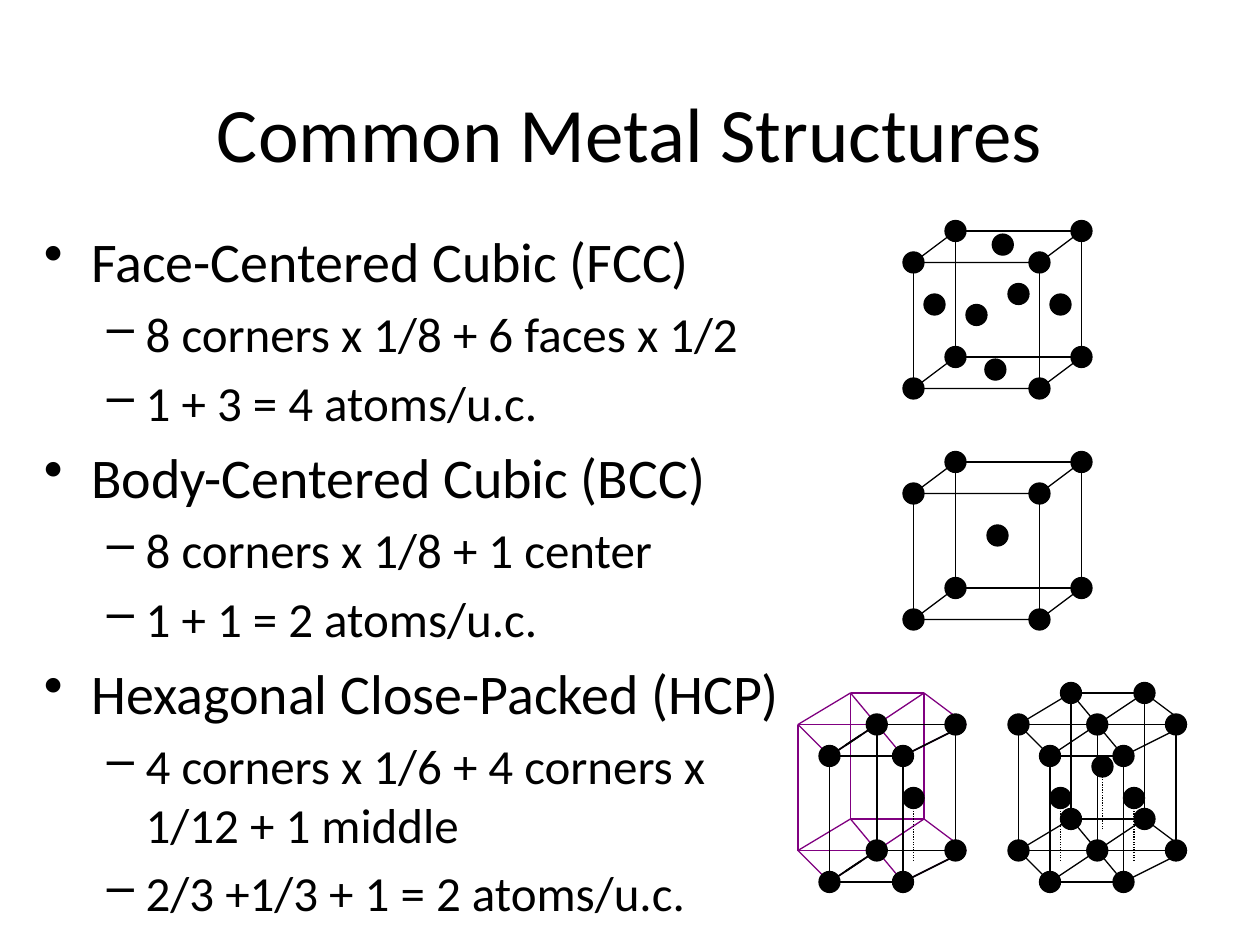
from dataclasses import dataclass

import pptx
import pptx.dml.color
import pptx.enum.dml
import pptx.enum.shapes
import pptx.enum.text
import pptx.oxml.ns
import pptx.shapes.autoshape
import pptx.shapes.shapetree
import pptx.text.text
import pptx.util
from lxml import etree

PX = 7620  # EMU per px, 120 px to the inch
BLACK = pptx.dml.color.RGBColor(0x00, 0x00, 0x00)
PURPLE = pptx.dml.color.RGBColor(0x80, 0x00, 0x80)
FONT = "Calibri"
ATOM_RADIUS = 10
CELL_HEIGHT = 120

Point = tuple[int, int]
Segment = tuple[Point, Point]
Shapes = pptx.shapes.shapetree.GroupShapes


@dataclass(frozen=True)
class Stroke:
    color: pptx.dml.color.RGBColor = BLACK
    width: float = 0.75
    dotted: bool = False


@dataclass(frozen=True)
class Level:
    bullet: str
    size: int
    margin: int
    hanging: int


@dataclass(frozen=True)
class Cube:
    origin: Point
    inner_atoms: list[Point]


@dataclass(frozen=True)
class Prism:
    origin: Point
    stroke: Stroke
    atoms: list[Point]  # atoms of one layer
    middle_atoms: list[Point]
    edge_columns: list[int]  # distance of each upright from the left


THIN = Stroke()
BOLD = Stroke(width=1)
DOTTED = Stroke(dotted=True)
FAINT = Stroke(PURPLE)

TOPIC = Level("•", 32, 45, 45)
DETAIL = Level("–", 28, 97, 37)
BODY = [
    (TOPIC, "Face-Centered Cubic (FCC)"),
    (DETAIL, "8 corners x 1/8 + 6 faces x 1/2"),
    (DETAIL, "1 + 3 = 4 atoms/u.c."),
    (TOPIC, "Body-Centered Cubic (BCC)"),
    (DETAIL, "8 corners x 1/8 + 1 center"),
    (DETAIL, "1 + 1 = 2 atoms/u.c."),
    (TOPIC, "Hexagonal Close-Packed (HCP)"),
    (DETAIL, "4 corners x 1/6 + 4 corners x 1/12 + 1 middle"),
    (DETAIL, "2/3 +1/3 + 1 = 2 atoms/u.c."),
]

CUBE_LID = [(0, 30), (40, 0), (160, 0), (120, 30)]
CUBES = [
    Cube((870, 220), [(78, 132), (85, 13), (60, 80), (100, 60), (140, 70), (20, 70)]),
    Cube((870, 440), [(80, 70)]),
]

HEXAGON = [(30, 60), (100, 60), (160, 30), (120, 0), (50, 0), (0, 30)]
DIAGONALS = [((0, 30), (160, 30)), ((30, 60), (120, 0)), ((50, 0), (100, 60))]
FRONT_EDGE, BACK_EDGE = ((30, 60), (100, 60)), ((50, 0), (120, 0))
CELL_ATOMS = [(30, 60), (100, 60), (150, 30), (75, 30)]
COLUMN_TOPS = {0: 30, 30: 60, 50: 0, 75: 30, 100: 60, 120: 0, 150: 30}
FULL_PRISM = Prism((970, 660), THIN, CELL_ATOMS + [(120, 0), (0, 30), (50, 0)],
                   [(40, 100), (80, 70), (110, 100)], list(COLUMN_TOPS))
UNIT_CELL_PRISM = Prism((760, 660), FAINT, CELL_ATOMS, [(110, 100)], [0, 50, 120])
UNIT_CELL_COLUMNS = [30, 75, 100, 150]
UNIT_CELL_EDGES = [
    ((30, 60), (60, 40)), ((45, 50), (75, 30)), FRONT_EDGE,
    ((80, 30), (150, 30)), ((100, 60), (160, 30)),
]


def shift(points: list[Point], offset: Point) -> list[Point]:
    return [(x + offset[0], y + offset[1]) for x, y in points]


def apply_stroke(line, stroke: Stroke) -> None:
    line.color.rgb = stroke.color
    line.width = pptx.util.Pt(stroke.width)
    if stroke.dotted:
        line.dash_style = pptx.enum.dml.MSO_LINE.ROUND_DOT


def draw_line(shapes: Shapes, segment: Segment, origin: Point, stroke: Stroke) -> None:
    (x1, y1), (x2, y2) = shift(list(segment), origin)
    connector = shapes.add_connector(
        pptx.enum.shapes.MSO_CONNECTOR.STRAIGHT, x1 * PX, y1 * PX, x2 * PX, y2 * PX)
    apply_stroke(connector.line, stroke)
    etree.SubElement(connector._element.spPr, pptx.oxml.ns.qn("a:effectLst"))


def draw_outline(shapes: Shapes, points: list[Point], origin: Point, stroke: Stroke) -> None:
    first, *others = shift(points, origin)
    builder = shapes.build_freeform(*first, scale=PX)
    builder.add_line_segments(others, close=True)
    finish_outline(builder.convert_to_shape(), stroke)


def finish_outline(shape: pptx.shapes.autoshape.Shape, stroke: Stroke) -> None:
    shape.shadow.inherit = False
    shape.fill.background()
    apply_stroke(shape.line, stroke)


def draw_atoms(shapes: Shapes, centers: list[Point], origin: Point) -> None:
    for x, y in shift(centers, origin):
        atom = shapes.add_shape(
            pptx.enum.shapes.MSO_SHAPE.OVAL, (x - ATOM_RADIUS) * PX, (y - ATOM_RADIUS) * PX,
            2 * ATOM_RADIUS * PX, 2 * ATOM_RADIUS * PX)
        atom.shadow.inherit = False
        atom.fill.solid()
        atom.fill.fore_color.rgb = BLACK
        apply_stroke(atom.line, THIN)


def draw_cube(shapes: Shapes, cube: Cube) -> None:
    for corner in CUBE_LID[:2]:  # front and back faces
        (x, y), = shift([corner], cube.origin)
        face = shapes.add_shape(pptx.enum.shapes.MSO_SHAPE.RECTANGLE, x * PX, y * PX,
                                CELL_HEIGHT * PX, CELL_HEIGHT * PX)
        finish_outline(face, THIN)
    base = shift(CUBE_LID, (0, CELL_HEIGHT))
    for outline in (CUBE_LID, base):
        draw_outline(shapes, outline, cube.origin, THIN)
    draw_atoms(shapes, CUBE_LID + base + cube.inner_atoms, cube.origin)


def draw_columns(shapes: Shapes, columns: list[int], origin: Point, stroke: Stroke) -> None:
    for x in columns:
        top = COLUMN_TOPS[x]
        draw_line(shapes, ((x, top), (x, top + CELL_HEIGHT)), origin, stroke)


def layer_origins(origin: Point) -> list[Point]:
    """Origins of the bottom and top layers."""
    return [(origin[0], origin[1] + CELL_HEIGHT), origin]


def draw_prism(shapes: Shapes, prism: Prism) -> None:
    for origin in layer_origins(prism.origin):
        for segment in DIAGONALS + [BACK_EDGE]:
            draw_line(shapes, segment, origin, prism.stroke)
        draw_outline(shapes, HEXAGON, origin, prism.stroke)
        draw_line(shapes, FRONT_EDGE, origin, THIN)
        draw_atoms(shapes, prism.atoms, origin)
    draw_columns(shapes, prism.edge_columns, prism.origin, prism.stroke)
    for x, y in prism.middle_atoms:
        draw_line(shapes, ((x, y + 60), (x, y)), prism.origin, DOTTED)
    draw_atoms(shapes, prism.middle_atoms, prism.origin)


def write_paragraph(paragraph: pptx.text.text._Paragraph, level: Level, text: str) -> None:
    paragraph.text = text
    properties = paragraph._p.get_or_add_pPr()
    properties.set("marL", str(level.margin * PX))
    properties.set("indent", str(-level.hanging * PX))
    bullet = etree.SubElement(properties, pptx.oxml.ns.qn("a:buChar"))
    bullet.set("char", level.bullet)
    paragraph.font.name = FONT
    paragraph.font.size = pptx.util.Pt(level.size)
    paragraph.font.color.rgb = BLACK


def main() -> None:
    presentation = pptx.Presentation()
    presentation.slide_width, presentation.slide_height = 1200 * PX, 900 * PX
    slide = presentation.slides.add_slide(presentation.slide_layouts[5])

    # Title
    title = slide.shapes.title
    title.left, title.top, title.width, title.height = 90 * PX, 50 * PX, 1020 * PX, 150 * PX
    title.text_frame.text = "Common Metal Structures"
    title.text_frame.vertical_anchor = pptx.enum.text.MSO_ANCHOR.MIDDLE
    heading = title.text_frame.paragraphs[0]
    heading.alignment = pptx.enum.text.PP_ALIGN.CENTER
    heading.font.name, heading.font.size = FONT, pptx.util.Pt(44)
    heading.font.color.rgb = BLACK

    # Atom counts
    frame = slide.shapes.add_textbox(30 * PX, 210 * PX, 750 * PX, 630 * PX).text_frame
    frame.word_wrap = True
    for index, (level, text) in enumerate(BODY):
        paragraph = frame.add_paragraph() if index else frame.paragraphs[0]
        write_paragraph(paragraph, level, text)
        if index:
            paragraph.space_before = pptx.util.Pt(level.size * 0.2)

    # Cubic cells
    for cube in CUBES:
        draw_cube(slide.shapes.add_group_shape().shapes, cube)

    # Hexagonal prism, and the same prism with its unit cell picked out
    draw_prism(slide.shapes.add_group_shape().shapes, FULL_PRISM)
    cell = slide.shapes.add_group_shape().shapes
    draw_prism(cell, UNIT_CELL_PRISM)
    draw_columns(cell, UNIT_CELL_COLUMNS, UNIT_CELL_PRISM.origin, BOLD)
    for origin in layer_origins(UNIT_CELL_PRISM.origin):
        for segment in UNIT_CELL_EDGES:
            draw_line(cell, segment, origin, BOLD)

    presentation.save("out.pptx")


if __name__ == "__main__":
    main()
